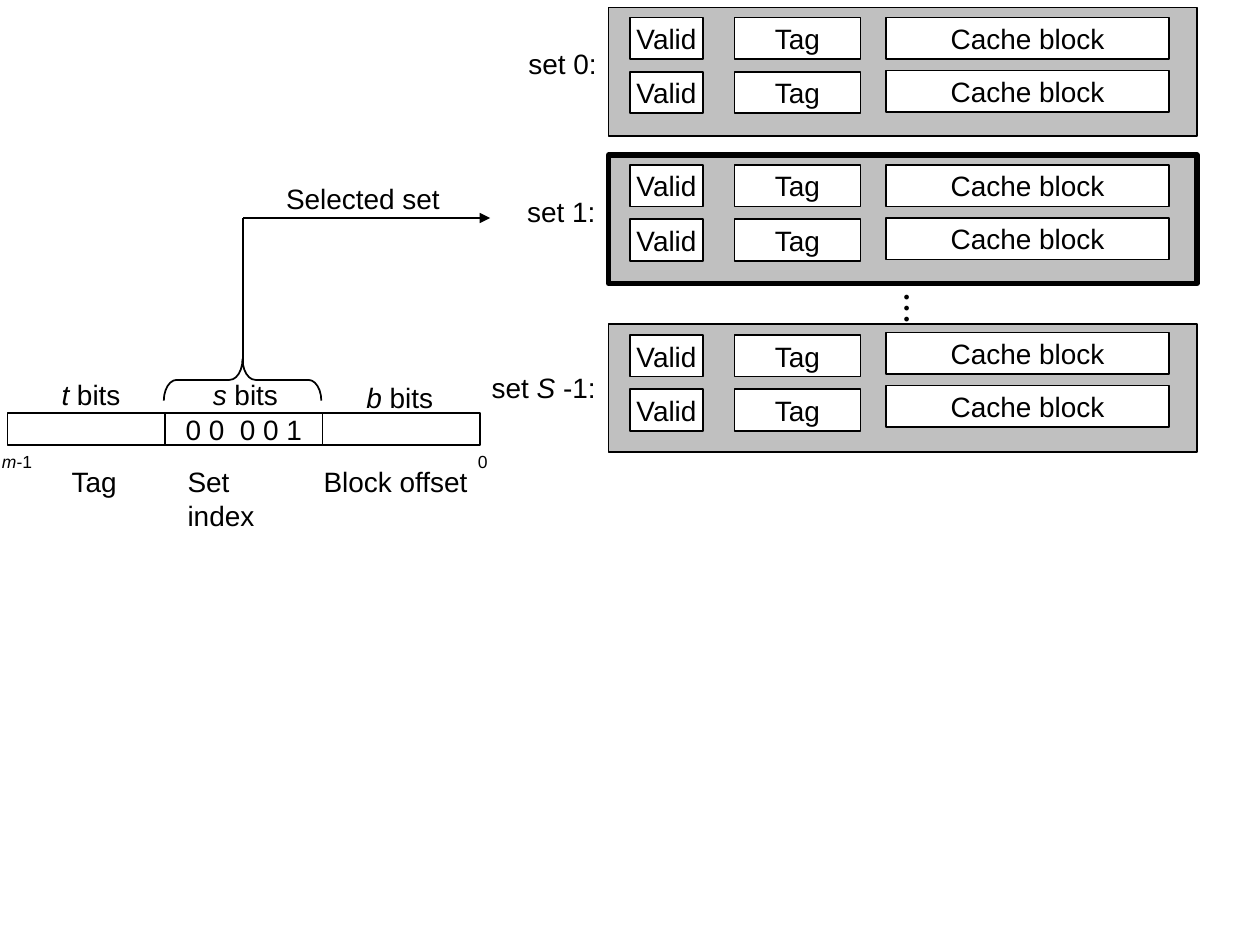
from dataclasses import dataclass

from lxml import etree
from pptx import Presentation
from pptx.dml.color import RGBColor
from pptx.enum import shapes, text
from pptx.oxml import ns
from pptx.util import Inches, Pt

BLACK = RGBColor(0x00, 0x00, 0x00)
WHITE = RGBColor(0xFF, 0xFF, 0xFF)
GRAY = RGBColor(0xC0, 0xC0, 0xC0)
FONT = "Arial"
CENTER = text.PP_ALIGN.CENTER
LEFT = text.PP_ALIGN.LEFT
MIDDLE = text.MSO_ANCHOR.MIDDLE
TOP = text.MSO_ANCHOR.TOP


@dataclass
class Run:
    text: str
    italic: bool = False


@dataclass
class Label:
    left: float
    top: float
    width: float
    height: float
    runs: list[Run]
    size: int = 16
    centered: bool = True


@dataclass
class CacheSet:
    top: float
    line_top: float
    block_top: float
    border: float
    label: Label


def write_text(shape, runs: list[Run], size: int = 16, centered: bool = True) -> None:
    frame = shape.text_frame
    frame.word_wrap = False
    frame.vertical_anchor = MIDDLE if centered else TOP
    paragraph = frame.paragraphs[0]
    paragraph.alignment = CENTER if centered else LEFT
    for item in runs:
        run = paragraph.add_run()
        run.text = item.text
        run.font.name = FONT
        run.font.size = Pt(size)
        run.font.italic = item.italic
        run.font.color.rgb = BLACK


def add_box(slide, left: float, top: float, width: float, height: float,
            fill: RGBColor | None = None, caption: str = "", border: float = 1,
            kind=shapes.MSO_SHAPE.RECTANGLE):
    shape = slide.shapes.add_shape(
        kind, Inches(left), Inches(top), Inches(width), Inches(height))
    shape.shadow.inherit = False
    if fill is None:
        shape.fill.background()
    else:
        shape.fill.solid()
        shape.fill.fore_color.rgb = fill
    shape.line.color.rgb = BLACK
    shape.line.width = Pt(border)
    if caption:
        write_text(shape, [Run(caption)])
    return shape


def add_label(slide, label: Label):
    shape = slide.shapes.add_textbox(
        Inches(label.left), Inches(label.top), Inches(label.width), Inches(label.height))
    write_text(shape, label.runs, label.size, label.centered)
    shape.text_frame.auto_size = text.MSO_AUTO_SIZE.SHAPE_TO_FIT_TEXT
    return shape


def add_line(slide, x1: float, y1: float, x2: float, y2: float, arrow: bool = False) -> None:
    connector = slide.shapes.add_connector(
        shapes.MSO_CONNECTOR.STRAIGHT, Inches(x1), Inches(y1), Inches(x2), Inches(y2))
    connector.line.color.rgb = BLACK
    connector.line.width = Pt(1)
    if arrow:
        line = connector.line._get_or_add_ln()
        etree.SubElement(line, ns.qn("a:tailEnd"), type="triangle")
    etree.SubElement(connector._element.spPr, ns.qn("a:effectLst"))


def add_cache_set(slide, cache_set: CacheSet) -> None:
    add_box(slide, 4.83, cache_set.top, 4.67, 1.02, GRAY, border=cache_set.border)
    for row in range(2):
        cell_top = cache_set.line_top + row * 0.43
        add_box(slide, 5, cell_top, 0.58, 0.33, WHITE, "Valid")
        add_box(slide, 5.83, cell_top, 1, 0.33, WHITE, "Tag")
        add_box(slide, 7.03, cache_set.block_top + row * 0.42, 2.25, 0.33,
                WHITE, "Cache block")
    add_label(slide, cache_set.label)


CACHE_SETS = [
    CacheSet(0.06, 0.14, 0.14, 1, Label(4.09, 0.32, 0.75, 0.37, [Run("set 0:")])),
    CacheSet(1.23, 1.31, 1.31, 3, Label(4.08, 1.49, 0.75, 0.37, [Run("set 1:")])),
    CacheSet(2.57, 2.66, 2.64, 1, Label(
        3.8, 2.89, 1.03, 0.37, [Run("set "), Run("S", True), Run(" -1:")])),
]

ADDRESS_FIELDS = ["", "0 0  0 0 1", ""]

ADDRESS_LABELS = [
    # Field widths
    Label(0.39, 2.95, 0.67, 0.36, [Run("t", True), Run(" bits")], centered=False),
    Label(1.59, 2.95, 0.72, 0.36, [Run("s", True), Run(" bits")], centered=False),
    Label(2.81, 2.97, 0.73, 0.36, [Run("b", True), Run(" bits")], centered=False),
    # Field names
    Label(0.47, 3.64, 0.58, 0.36, [Run("Tag")], centered=False),
    Label(1.39, 3.64, 1.12, 0.36, [Run("Set index")], centered=False),
    Label(2.47, 3.64, 1.35, 0.36, [Run("Block offset")], centered=False),
    # Bit positions
    Label(-0.09, 3.53, 0.45, 0.27, [Run("m", True), Run("-1")], 10),
    Label(3.69, 3.53, 0.28, 0.27, [Run("0")], 10),
    # Arrow caption
    Label(2.17, 1.39, 1.42, 0.37, [Run("Selected set")]),
]


def main() -> None:
    presentation = Presentation()
    presentation.slide_width = Inches(10)
    presentation.slide_height = Inches(7.5)
    slide = presentation.slides.add_slide(presentation.slide_layouts[6])

    # Cache sets, with the selected one in a heavy border
    for cache_set in CACHE_SETS:
        add_cache_set(slide, cache_set)

    # Vertical ellipsis between the sets
    ellipsis = add_label(slide, Label(6.83, 2.24, 0.75, 0.33, [Run("• • •")], 10))
    ellipsis.text_frame.auto_size = text.MSO_AUTO_SIZE.NONE
    ellipsis.text_frame._txBody.bodyPr.set("vert", "eaVert")

    # Address fields
    for index, bits in enumerate(ADDRESS_FIELDS):
        add_box(slide, 0.06 + index * 1.25, 3.28, 1.25, 0.25, caption=bits)
    for label in ADDRESS_LABELS:
        add_label(slide, label)

    # Brace over the set index and arrow to the selected set
    brace = add_box(slide, 1.76, 2.39, 0.33, 1.25, kind=shapes.MSO_SHAPE.RIGHT_BRACE)
    brace.rotation = 270
    brace.adjustments[0] = 0.31
    add_line(slide, 1.93, 2.89, 1.93, 1.73)
    add_line(slide, 1.93, 1.73, 3.89, 1.73, arrow=True)

    presentation.save("out.pptx")


if __name__ == "__main__":
    main()
